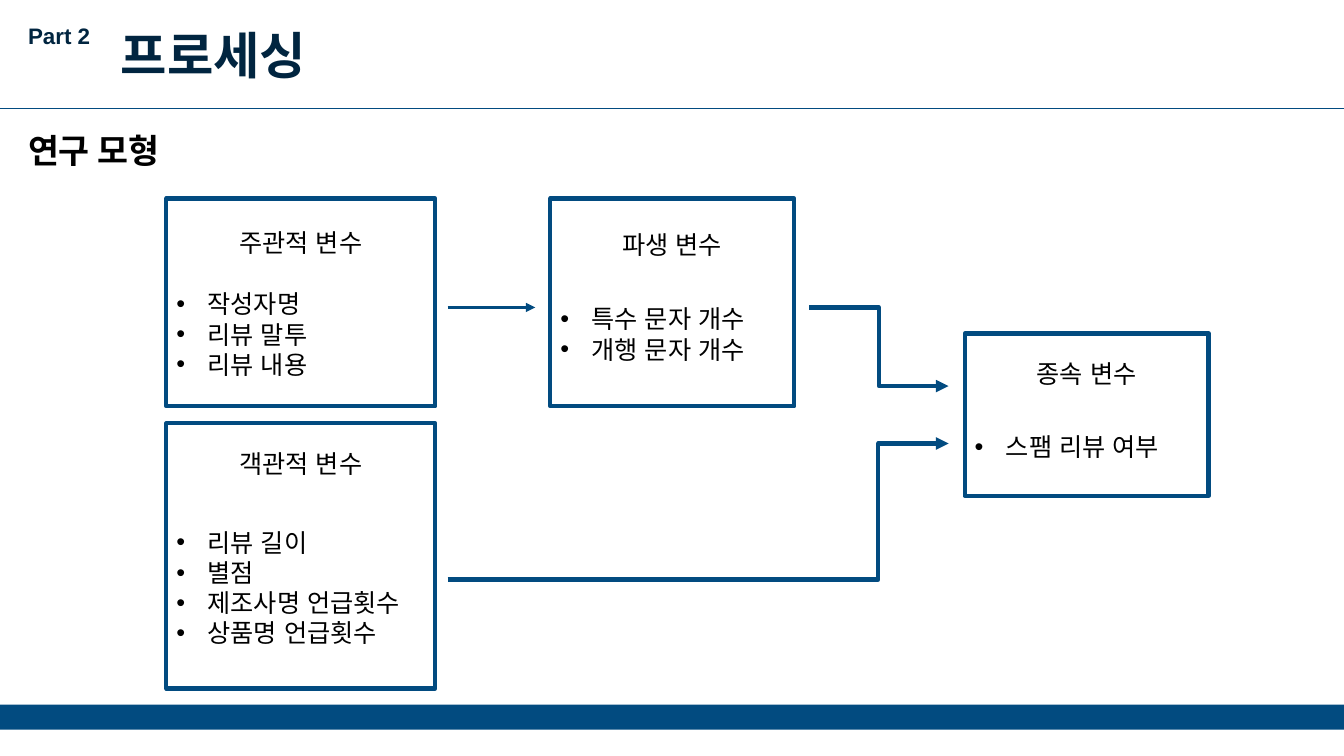
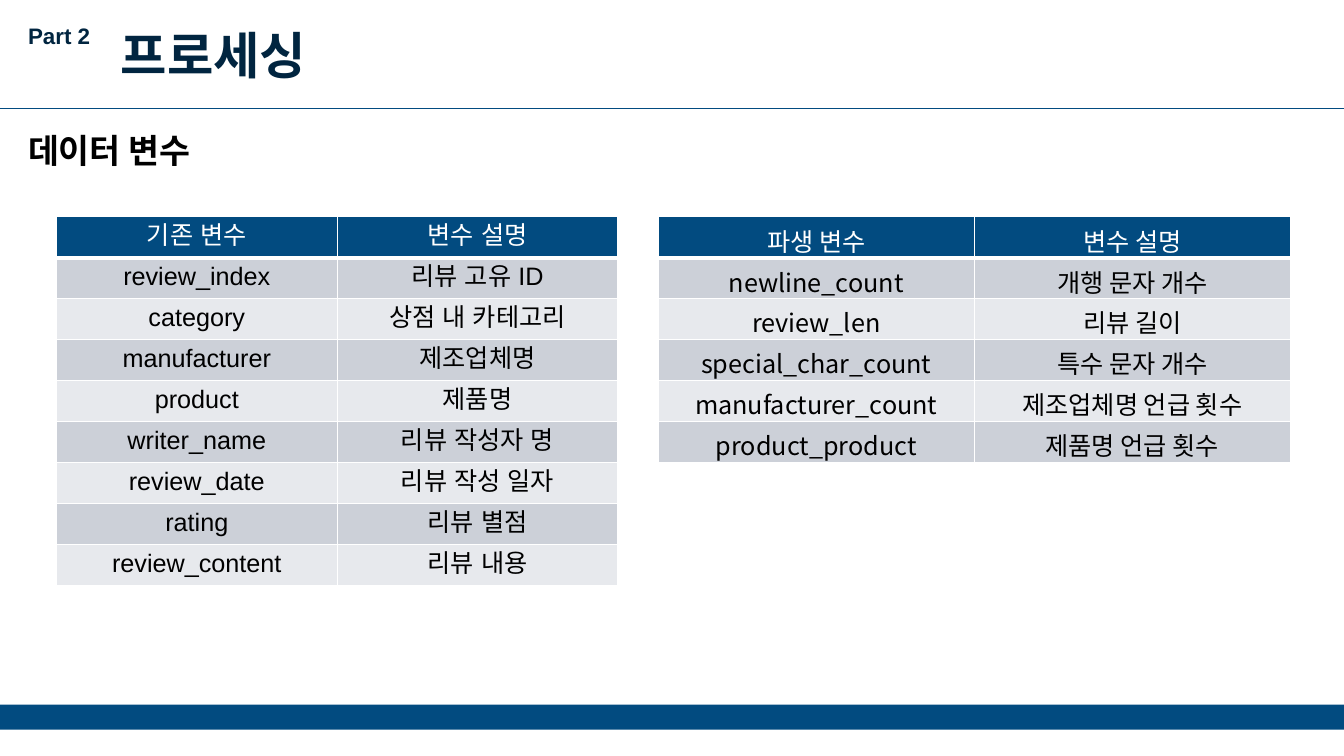
import pptx
import pptx.util
import pptx.dml.color
import pptx.enum.shapes
import pptx.enum.text
import pptx.oxml.ns
from lxml import etree

RGB = pptx.dml.color.RGBColor
BLUE = RGB(0x02, 0x4B, 0x80)
NAVY = RGB(0x01, 0x25, 0x40)
BLACK = RGB(0, 0, 0)
WHITE = RGB(0xFF, 0xFF, 0xFF)
BANDS = [RGB(0xE7, 0xE9, 0xED), RGB(0xCC, 0xD0, 0xD8)]
ARIAL = "Arial"
NOTO = "Noto Sans CJK KR"
CENTER = pptx.enum.text.PP_ALIGN.CENTER
LEFT = pptx.enum.text.PP_ALIGN.LEFT
MIDDLE = pptx.enum.text.MSO_ANCHOR.MIDDLE
RECT = pptx.enum.shapes.MSO_SHAPE.RECTANGLE
STRAIGHT = pptx.enum.shapes.MSO_CONNECTOR.STRAIGHT
ELBOW = pptx.enum.shapes.MSO_CONNECTOR.ELBOW
qn = pptx.oxml.ns.qn
Pt = pptx.util.Pt

prs = pptx.Presentation()
prs.slide_width = pptx.util.Inches(13.33)
prs.slide_height = pptx.util.Inches(7.5)
COL = prs.slide_width / 100
ROW = prs.slide_height / 100


def grid(*cells):
    return [round(v * (ROW if i % 2 else COL)) for i, v in enumerate(cells)]


def write(p, text, font, size, color, bold=False, align=LEFT):
    p.alignment = align
    r = p.add_run()
    r.text = text
    for key, value in {"name": font, "size": Pt(size), "bold": bold}.items():
        setattr(r.font, key, value)
    r.font.color.rgb = color
    etree.SubElement(r.font._element, qn("a:ea"), typeface=font)


slides = []
for heading in ["연구 모형", "데이터 변수"]:
    s = prs.slides.add_slide(prs.slide_layouts[6])
    slides.append(s)
    rule = s.shapes.add_connector(STRAIGHT, *grid(0, 14.27, 100, 14.27))
    rule.line.color.rgb = BLUE
    rule.line.width = Pt(0.5)
    etree.SubElement(rule._element.spPr, qn("a:effectLst"))
    band = s.shapes.add_shape(RECT, *grid(0, 93.2, 100, 3.33))
    band.shadow.inherit = False
    band.fill.solid()
    band.fill.fore_color.rgb = BLUE
    band.line.fill.background()
    for area, text, font, size, color in [
        ((1.35, 16.53, 29.5, 6.67), heading, NOTO, 24, BLACK),
        ((1.35, 2.27, 6.9, 4.93), "Part 2", ARIAL, 16, NAVY),
        ((8.25, 2.53, 58.7, 9.47), "프로세싱", NOTO, 36, NAVY),
    ]:
        tf = s.shapes.add_textbox(*grid(*area)).text_frame
        tf.word_wrap = True
        write(tf.paragraphs[0], text, font, size, color, True)

model, variables = slides

for (x, y, w, h), drop, label, items in [
    ((12.38, 56, 20.02, 35.07), 2.67, "객관적 변수",
     ["리뷰 길이", "별점", "제조사명 언급횟수", "상품명 언급횟수"]),
    ((12.38, 26.27, 20.02, 27.47), 3.2, "주관적 변수",
     ["작성자명", "리뷰 말투", "리뷰 내용"]),
    ((40.95, 26.27, 18.15, 27.47), 3.47, "파생 변수",
     ["특수 문자 개수", "개행 문자 개수"]),
    ((71.78, 44.13, 18.15, 21.47), 2.67, "종속 변수",
     ["스팸 리뷰 여부"]),
]:
    sp = model.shapes.add_shape(RECT, *grid(x, y, w, h))
    sp.shadow.inherit = False
    sp.fill.background()
    sp.line.color.rgb = BLUE
    sp.line.width = Pt(3)
    tf = sp.text_frame
    tf.word_wrap = True
    tf.vertical_anchor = MIDDLE
    tf.margin_top = round(ROW * 9)
    for i, item in enumerate(items):
        p = tf.add_paragraph() if i else tf.paragraphs[0]
        pPr = p._p.get_or_add_pPr()
        indent = pptx.util.Inches(0.31)
        pPr.set("marL", str(indent))
        pPr.set("indent", str(-indent))
        etree.SubElement(pPr, qn("a:buFont"), typeface=ARIAL)
        etree.SubElement(pPr, qn("a:buChar"), char="•")
        write(p, item, ARIAL, 18, BLACK)
    tf = model.shapes.add_textbox(*grid(x, y + drop, w, 5.33)).text_frame
    tf.word_wrap = True
    write(tf.paragraphs[0], label, ARIAL, 18, BLACK, align=CENTER)

for kind, ends, width, bend in [
    (STRAIGHT, (33.3, 40.67, 39.83, 40.67), 2.25, None),
    (ELBOW, (60.23, 40.67, 70.58, 51.07), 3, 50000),
    (ELBOW, (33.3, 76.67, 70.58, 58.67), 3, 86000),
]:
    arrow = model.shapes.add_connector(kind, *grid(*ends))
    arrow.line.color.rgb = BLUE
    arrow.line.width = Pt(width)
    spPr = arrow._element.spPr
    etree.SubElement(spPr.find(qn("a:ln")), qn("a:tailEnd"), type="triangle")
    etree.SubElement(spPr, qn("a:effectLst"))
    if bend:
        guides = spPr.find(qn("a:prstGeom")).find(qn("a:avLst"))
        etree.SubElement(guides, qn("a:gd"), name="adj1", fmla=f"val {bend}")

for x, w, font, rows in [
    (4.2, 41.78, ARIAL, [
        ("기존 변수", "변수 설명"),
        ("review_index", "리뷰 고유 ID"),
        ("category", "상점 내 카테고리"),
        ("manufacturer", "제조업체명"),
        ("product", "제품명"),
        ("writer_name", "리뷰 작성자 명"),
        ("review_date", "리뷰 작성 일자"),
        ("rating", "리뷰 별점"),
        ("review_content", "리뷰 내용"),
    ]),
    (48.98, 47.03, NOTO, [
        ("파생 변수", "변수 설명"),
        ("newline_count", "개행 문자 개수"),
        ("review_len", "리뷰 길이"),
        ("special_char_count", "특수 문자 개수"),
        ("manufacturer_count", "제조업체명 언급 횟수"),
        ("product_product", "제품명 언급 횟수"),
    ]),
]:
    area = grid(x, 28.67, w, 5.42 * len(rows))
    table = variables.shapes.add_table(len(rows), 2, *area).table
    for i, row in enumerate(rows):
        table.rows[i].height = round(ROW * 5.42)
        for j, text in enumerate(row):
            cell = table.cell(i, j)
            write(cell.text_frame.paragraphs[0], text, font, 18,
                  BLACK if i else WHITE, align=CENTER)
            tcPr = cell._tc.get_or_add_tcPr()
            for side in "LRTB":
                thick = (i, side) in [(0, "B"), (1, "T")]
                ln = etree.SubElement(tcPr, qn(f"a:ln{side}"), w=str(Pt(3 if thick else 1)))
                fill = etree.SubElement(ln, qn("a:solidFill"))
                etree.SubElement(fill, qn("a:srgbClr"), val=str(WHITE))
            cell.fill.solid()
            cell.fill.fore_color.rgb = BANDS[i % 2] if i else BLUE

prs.save("out.pptx")
